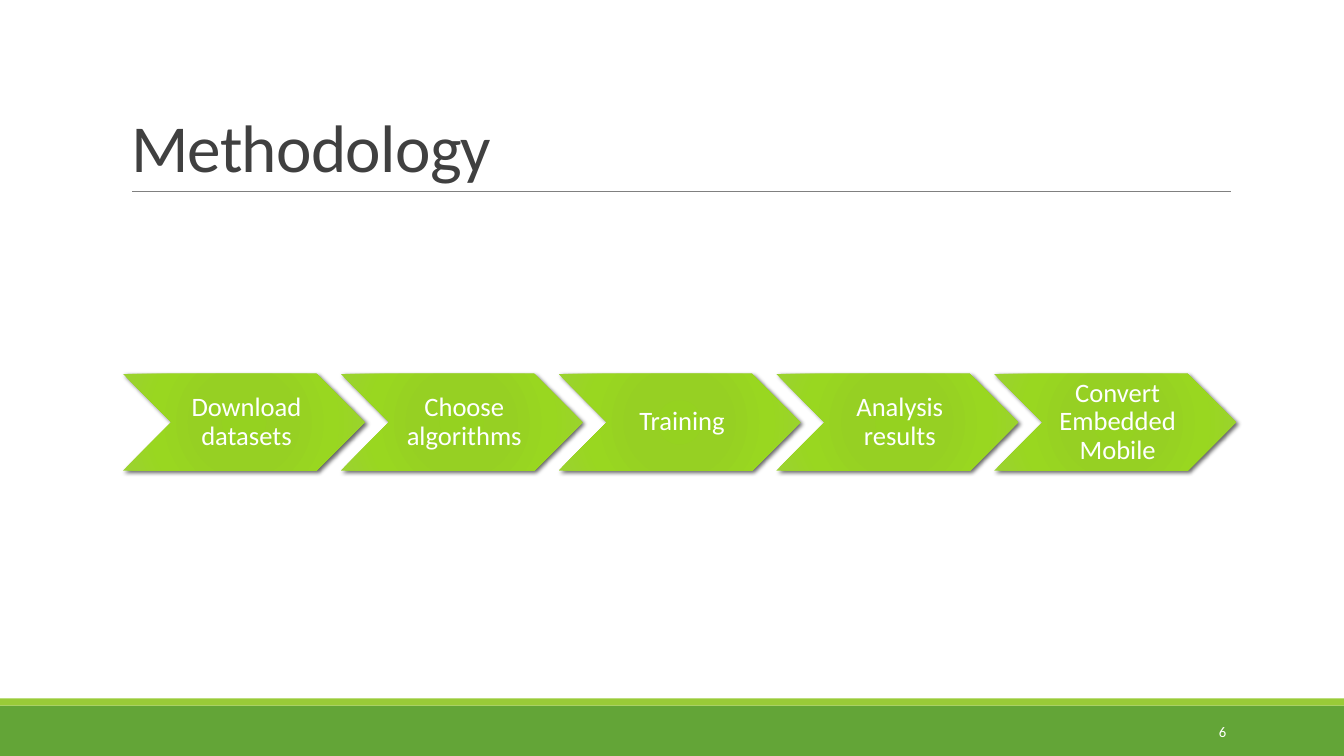
import pptx
import pptx.util
import pptx.dml.color
import pptx.enum.shapes
import pptx.enum.text
import pptx.oxml
import pptx.oxml.ns

Inches, Pt = pptx.util.Inches, pptx.util.Pt
RGBColor = pptx.dml.color.RGBColor
MSO_SHAPE = pptx.enum.shapes.MSO_SHAPE
PP_ALIGN = pptx.enum.text.PP_ALIGN
MSO_ANCHOR = pptx.enum.text.MSO_ANCHOR
qn = pptx.oxml.ns.qn

FONT = "Calibri"
WHITE = RGBColor(0xFF, 0xFF, 0xFF)
BLACK = RGBColor(0x00, 0x00, 0x00)
DARK_GRAY = RGBColor(0x40, 0x40, 0x40)
RULE_GRAY = RGBColor(0x80, 0x80, 0x80)
GREEN = RGBColor(0x63, 0xA5, 0x37)
LIME = RGBColor(0x99, 0xCB, 0x38)
CHEVRON_STOPS = [
    (0, RGBColor(0x95, 0xD2, 0x20)),
    (34, RGBColor(0x96, 0xD0, 0x23)),
    (70, RGBColor(0x99, 0xD7, 0x20)),
    (100, RGBColor(0x9B, 0xD2, 0x31)),
]
STEPS = ["Download datasets", "Choose algorithms", "Training",
         "Analysis results", "Convert Embedded Mobile"]


def parse_drawing(xml):
    return pptx.oxml.parse_xml(xml.replace(">", f" {pptx.oxml.ns.nsdecls('a')}>", 1))


def set_font(p, size, color):
    p.font.name = FONT
    p.font.size = Pt(size)
    p.font.color.rgb = color


def fill_radial(sp, stops):
    sp.fill.background()
    gs = "".join(f'<a:gs pos="{pos * 1000}"><a:srgbClr val="{color}"/></a:gs>'
                 for pos, color in stops)
    gradient = parse_drawing(
        f'<a:gradFill rotWithShape="1"><a:gsLst>{gs}</a:gsLst><a:path path="circle">'
        '<a:fillToRect l="100000" t="100000" r="100000" b="100000"/></a:path></a:gradFill>')
    no_fill = sp._element.spPr.find(qn("a:noFill"))
    no_fill.getparent().replace(no_fill, gradient)


def add_shadow(sp):
    sp.shadow.inherit = False
    sp._element.spPr.find(qn("a:effectLst")).append(parse_drawing(
        f'<a:outerShdw blurRad="{Pt(3)}" dist="{Pt(2)}" dir="2700000" rotWithShape="0">'
        f'<a:srgbClr val="{BLACK}"><a:alpha val="60000"/></a:srgbClr></a:outerShdw>'))


def add_band(s, x, y, w, h, color):
    sp = s.shapes.add_shape(MSO_SHAPE.RECTANGLE, Inches(x), Inches(y), Inches(w), Inches(h))
    sp.shadow.inherit = False
    sp.fill.solid()
    sp.fill.fore_color.rgb = color
    sp.line.fill.background()


def add_footer(s, x, y, w, h, number):
    strip = 0.07
    add_band(s, x, y + strip, w, h - strip, GREEN)
    add_band(s, x, y, w, strip, LIME)
    box = s.shapes.add_textbox(Inches(x + w - 2.5), Inches(y + 0.13), Inches(1.43), Inches(0.4))
    tf = box.text_frame
    tf.word_wrap = True
    tf.vertical_anchor = MSO_ANCHOR.MIDDLE
    p = tf.paragraphs[0]
    p.text = str(number)
    p.alignment = PP_ALIGN.RIGHT
    set_font(p, 10.5, WHITE)


def add_title(s, x, y, w, h, text):
    """Fill the title placeholder and draw the rule along its lower edge."""
    title = s.shapes.title
    title.left, title.top, title.width, title.height = map(Inches, (x, y, w, h))
    tf = title.text_frame
    tf.auto_size = pptx.enum.text.MSO_AUTO_SIZE.NONE
    tf.vertical_anchor = MSO_ANCHOR.BOTTOM
    p = tf.paragraphs[0]
    p.text = text
    p.alignment = PP_ALIGN.LEFT
    p.line_spacing = 0.85
    set_font(p, 48, DARK_GRAY)
    p.runs[0].font._element.set("spc", "-50")

    rule = s.shapes.add_connector(pptx.enum.shapes.MSO_CONNECTOR.STRAIGHT, Inches(x + 0.11),
                                  Inches(y + h), Inches(x + w + 0.01), Inches(y + h))
    rule.line.color.rgb = RULE_GRAY
    rule.line.width = Pt(0.5)
    rule._element.spPr.append(parse_drawing("<a:effectLst></a:effectLst>"))


def add_process(s, x, y, w, h, steps):
    """Lay out overlapping chevrons, each a tenth of its width over the next."""
    step_w = w / (0.9 * len(steps) + 0.1)
    for i, step in enumerate(steps):
        sp = s.shapes.add_shape(MSO_SHAPE.CHEVRON, Inches(x + i * 0.9 * step_w), Inches(y),
                                Inches(step_w), Inches(h))
        fill_radial(sp, CHEVRON_STOPS)
        sp.line.fill.background()
        add_shadow(sp)
        tf = sp.text_frame
        tf.word_wrap = True
        tf.vertical_anchor = MSO_ANCHOR.MIDDLE
        tf.margin_left = Inches(0.08)
        tf.margin_top = tf.margin_right = tf.margin_bottom = Inches(0.03)
        p = tf.paragraphs[0]
        p.text = step
        p.alignment = PP_ALIGN.CENTER
        p.line_spacing = 0.9
        set_font(p, 19, WHITE)


def main():
    prs = pptx.Presentation()
    prs.slide_width, prs.slide_height = Inches(13.33), Inches(7.5)
    s = prs.slides.add_slide(prs.slide_layouts.get_by_name("Title Only"))
    add_footer(s, 0, 6.93, 13.33, 0.57, 6)
    add_title(s, 1.2, 0.31, 11, 1.59, "Methodology")
    add_process(s, 1.22, 3.71, 11.04, 0.96, STEPS)
    prs.save("out.pptx")


if __name__ == "__main__":
    main()
